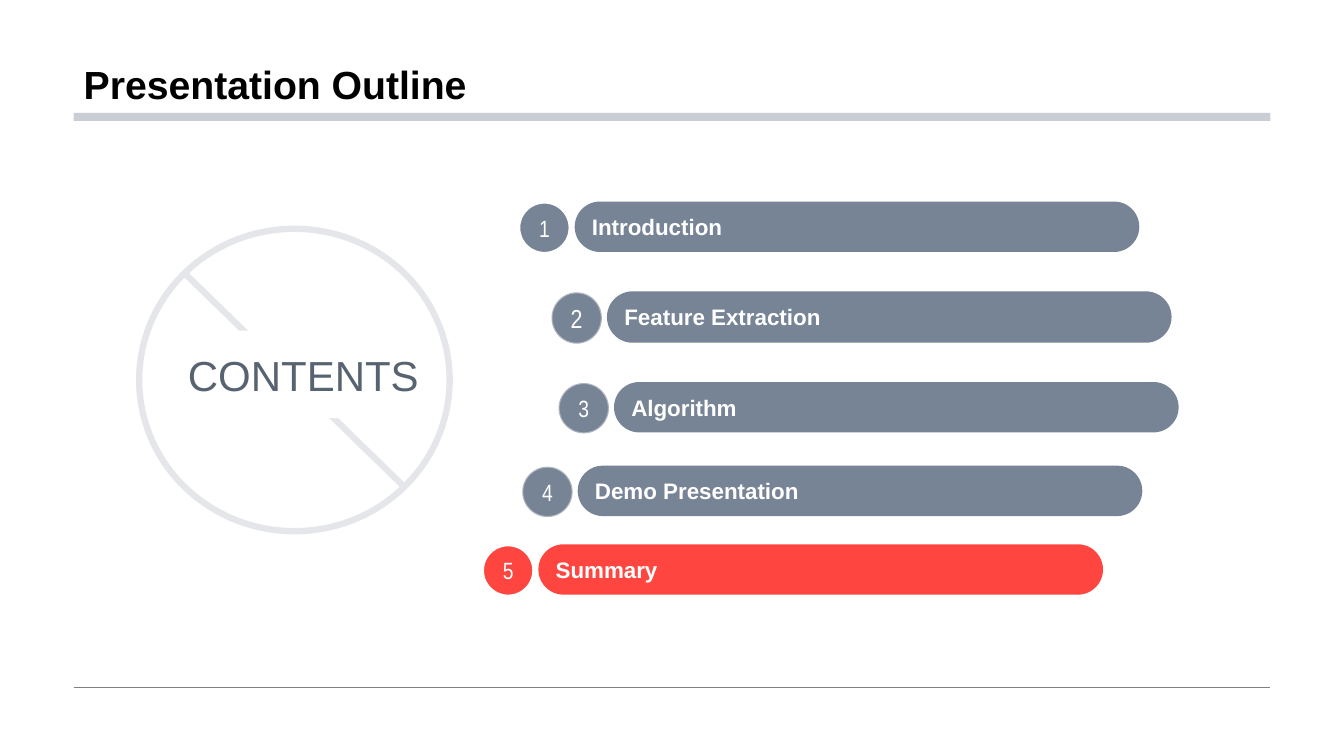
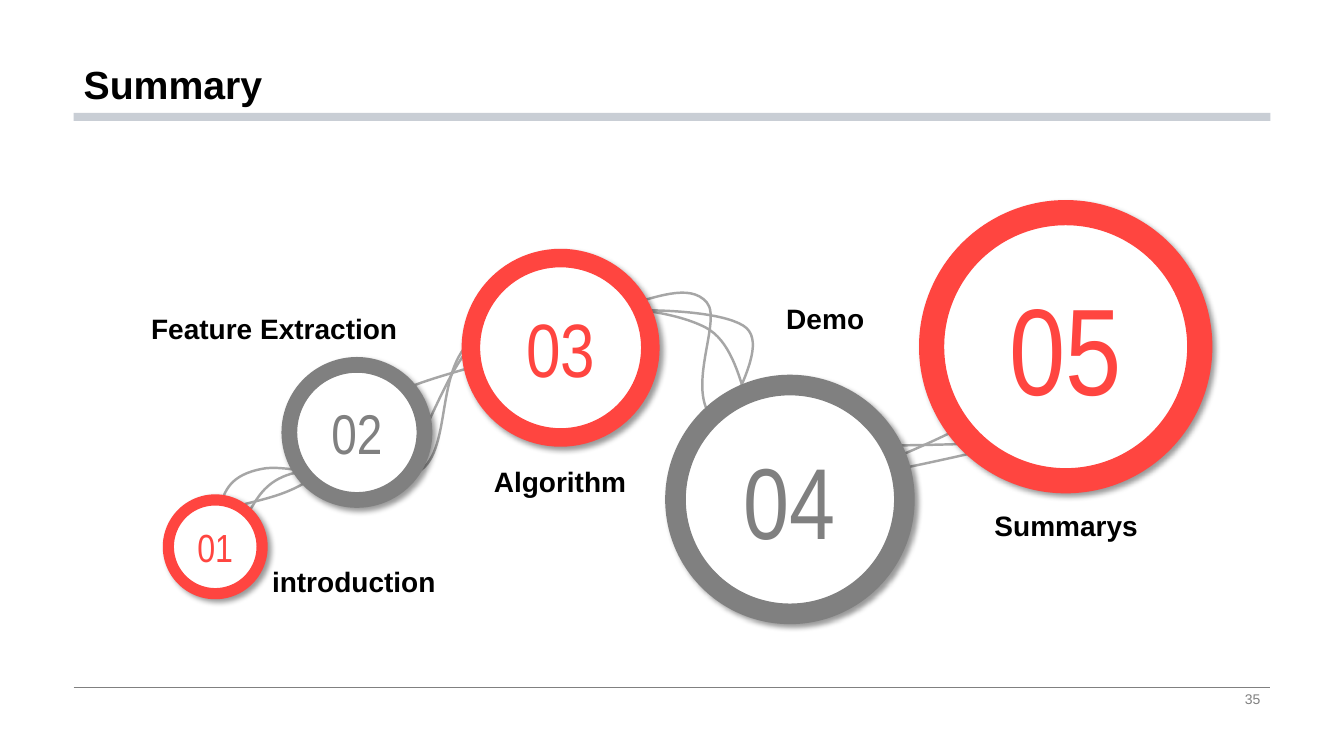
from dataclasses import dataclass

from lxml.etree import SubElement
from pptx import Presentation
from pptx.dml.color import RGBColor
from pptx.enum.shapes import MSO_CONNECTOR, MSO_SHAPE
from pptx.enum.text import MSO_ANCHOR, MSO_AUTO_SIZE, PP_ALIGN
from pptx.oxml.ns import qn
from pptx.util import Inches, Pt


@dataclass(frozen=True)
class Theme:
    black: str = "000000"
    white: str = "FFFFFF"
    red: str = "FF4540"
    slate: str = "778495"
    dark_slate: str = "586371"
    pale: str = "E4E6EA"
    band: str = "C9CED5"
    grey: str = "808080"
    strand: str = "A6A6A6"
    font: str = "Arial"
    narrow: str = "Arial Narrow"
    title: float = 28
    contents: float = 30
    label: float = 20
    bar: float = 16
    marker: float = 16.8
    large_marker: float = 18.6
    page_number: float = 10


THEME = Theme()


@dataclass(frozen=True)
class Box:
    left: float
    top: float
    width: float
    height: float

    def inner(self, left, top, width, height):
        return Box(self.left + left, self.top + top, width, height)

    def point(self, x, y):
        return Inches(self.left + x), Inches(self.top + y)

    def lengths(self):
        return [Inches(value) for value in (self.left, self.top, self.width, self.height)]


TITLE_BOX = Box(0.73, 0, 11.87, 1.12)
BAND_BOX = Box(0.73, 1.12, 11.87, 0.08)
FOOTER_BOX = Box(0.73, 6.82, 11.87, 0.23)
EMBLEM_BOX = Box(1.38, 2.27, 3.08, 3)
OUTLINE_BOX = Box(4.79, 2, 6.9, 3.91)
STEPS_BOX = Box(1.4, 2.1, 10.5, 4)

# label, bar left, bar top, height, colour, marker outline opacity, marker size
OUTLINE = [
    ("Introduction", 0.91, 0, 0.5, THEME.slate, 100, THEME.marker),
    ("Feature Extraction", 1.23, 0.89, 0.51, THEME.slate, 40, THEME.large_marker),
    ("Algorithm", 1.3, 1.79, 0.5, THEME.slate, 40, THEME.marker),
    ("Demo Presentation", 0.94, 2.62, 0.5, THEME.slate, 40, THEME.marker),
    ("Summary", 0.55, 3.4, 0.5, THEME.red, 100, THEME.marker),
]

# ring left, top, diameter, outline width, number size
RINGS = [
    (0.27, 2.86, 0.93, 8, 28),
    (1.47, 1.52, 1.34, 11.25, 40),
    (3.27, 0.46, 1.78, 13.25, 54),
    (5.3, 1.72, 2.27, 14.75, 72),
    (7.84, 0.01, 2.66, 18, 88),
]

# label, left, top, width, alignment, line spacing
STEP_LABELS = [
    ("Feature Extraction", 0, 0.95, 2.81, PP_ALIGN.LEFT, 1.0),
    ("Algorithm", 3.09, 2.47, 2.13, PP_ALIGN.CENTER, 0.9),
    ("Summarys", 8.11, 2.91, 2.13, PP_ALIGN.CENTER, 0.9),
    ("Demo", 5.72, 0.86, 2.13, PP_ALIGN.CENTER, 0.9),
    ("introduction", 1.2, 3.47, 2.13, PP_ALIGN.LEFT, 0.9),
]

# start point, then two control points and an end point for each curve
STRANDS = [
    [(0.78, 2.93), (0.83, 2.77), (0.88, 2.61), (1.21, 2.55),
     (1.54, 2.49), (2.39, 2.81), (2.75, 2.58), (3.12, 2.36), (2.87, 1.44), (3.4, 1.2),
     (3.94, 0.95), (5.58, 0.89), (5.97, 1.13), (6.37, 1.37), (5.38, 2.44), (5.78, 2.65),
     (6.19, 2.85), (7.3, 2.61), (8.4, 2.36)],
    [(1.03, 2.9), (1.27, 2.84), (1.5, 2.79), (1.73, 2.62),
     (1.96, 2.44), (2.1, 2.06), (2.42, 1.86), (2.74, 1.66), (3.27, 1.57), (3.65, 1.42),
     (4.04, 1.26), (4.43, 1.03), (4.76, 0.94), (5.09, 0.86), (5.44, 0.7), (5.61, 0.9),
     (5.78, 1.09), (5.32, 1.89), (5.77, 2.13), (6.22, 2.36), (7.27, 2.33), (8.33, 2.3)],
    [(1.07, 2.98), (1.16, 2.82), (1.25, 2.67), (1.49, 2.6),
     (1.73, 2.53), (2.18, 2.83), (2.52, 2.58), (2.86, 2.34), (3.02, 1.36), (3.53, 1.12),
     (4.04, 0.88), (5.12, 0.9), (5.6, 1.15), (6.07, 1.4), (5.97, 2.44), (6.4, 2.6),
     (6.83, 2.76), (7.52, 2.44), (8.2, 2.11)],
]


def write_text(shape, text, *, size, color, font=THEME.font, bold=False, align=PP_ALIGN.LEFT,
               anchor=MSO_ANCHOR.MIDDLE, wrap=True, spacing=1.0):
    frame = shape.text_frame
    frame.auto_size = MSO_AUTO_SIZE.NONE
    frame.word_wrap = wrap
    frame.vertical_anchor = anchor
    para = frame.paragraphs[0]
    para.alignment = align
    para.line_spacing = spacing
    span = para.add_run()
    span.text = text
    span.font.name = font
    span.font.size = Pt(size)
    span.font.bold = bold
    span.font.color.rgb = RGBColor.from_string(color)


def style_line(shape, color, width, opacity=100):
    shape.line.color.rgb = RGBColor.from_string(color)
    shape.line.width = Pt(width)
    if opacity < 100:
        paint = shape._element.spPr.find(qn("a:ln")).find(".//" + qn("a:srgbClr"))
        SubElement(paint, qn("a:alpha"), val=str(opacity * 1000))


def style_shape(shape, fill=None, line=None, width=1.0, opacity=100):
    shape.shadow.inherit = False
    if fill:
        shape.fill.solid()
        shape.fill.fore_color.rgb = RGBColor.from_string(fill)
    else:
        shape.fill.background()
    if line:
        style_line(shape, line, width, opacity)
    else:
        shape.line.fill.background()


def add_shape(page, kind, box, **style):
    shape = page.shapes.add_shape(kind, *box.lengths())
    style_shape(shape, **style)
    return shape


def add_label(page, box, text, **style):
    write_text(page.shapes.add_textbox(*box.lengths()), text, **style)


def add_line(page, start, end, color, width):
    line = page.shapes.add_connector(MSO_CONNECTOR.STRAIGHT, *start, *end)
    style_line(line, color, width)
    SubElement(line._element.spPr, qn("a:effectLst"))
    return line


def add_soft_shadow(shape):
    effects = shape._element.spPr.find(qn("a:effectLst"))
    shadow = SubElement(effects, qn("a:outerShdw"), blurRad=str(Pt(4)), dist=str(Pt(3)),
                        dir=str(45 * 60000), algn="tl", rotWithShape="0")
    paint = SubElement(shadow, qn("a:srgbClr"), val=THEME.black)
    SubElement(paint, qn("a:alpha"), val="40000")


def curve_points(points, steps=16):
    """Yield points along joined cubic curves, from which their extent is found."""
    for first in range(0, len(points) - 1, 3):
        knots = points[first:first + 4]
        for step in range(1, steps + 1):
            t = step / steps
            weights = ((1 - t) ** 3, 3 * t * (1 - t) ** 2, 3 * t * t * (1 - t), t ** 3)
            yield tuple(sum(w * knot[axis] for w, knot in zip(weights, knots)) for axis in (0, 1))


def add_strand(page, box, points):
    """Size a freeform to the curve's extent, then give it true cubic segments."""
    builder = page.shapes.build_freeform(*box.point(*points[0]), scale=1.0)
    builder.add_line_segments([box.point(*spot) for spot in curve_points(points)], close=False)
    strand = builder.convert_to_shape()
    outline = strand._element.spPr.find(".//" + qn("a:path"))
    for segment in outline.findall(qn("a:lnTo")):
        outline.remove(segment)
    for first in range(1, len(points), 3):
        curve = SubElement(outline, qn("a:cubicBezTo"))
        for spot in points[first:first + 3]:
            x, y = box.point(*spot)
            SubElement(curve, qn("a:pt"), x=str(x - strand.left), y=str(y - strand.top))
    style_shape(strand, line=THEME.strand, width=1.75)


def prepare_layout(layout, page):
    """Place the title, and move the band and footer line from the page to its layout."""
    for holder in list(layout.placeholders):
        if holder.placeholder_format.idx == 0:
            holder.left, holder.top, holder.width, holder.height = TITLE_BOX.lengths()
        else:
            holder.element.getparent().remove(holder.element)
    rule = add_line(page, FOOTER_BOX.point(0, 0), FOOTER_BOX.point(FOOTER_BOX.width, 0),
                    THEME.grey, 0.5)
    band = add_shape(page, MSO_SHAPE.RECTANGLE, BAND_BOX, fill=THEME.band)
    for part in (rule, band):
        layout.shapes.element.append(part._element)


def write_title(page, text):
    write_text(page.shapes.title, text, size=THEME.title, color=THEME.black, bold=True,
               anchor=MSO_ANCHOR.BOTTOM, spacing=0.9)


def add_page_number(page, box, number):
    add_label(page, box.inner(box.width - 3.18, 0, 3.18, box.height), number,
              size=THEME.page_number, color=THEME.grey, align=PP_ALIGN.RIGHT)


def add_emblem(page, box):
    add_line(page, box.point(0.45, 0.44), box.point(2.63, 2.56), THEME.pale, 4.5)
    add_shape(page, MSO_SHAPE.OVAL, box, line=THEME.pale, width=4.5)
    plate = add_shape(page, MSO_SHAPE.RECTANGLE, box.inner(0.3, 1.01, 2.66, 0.87),
                      fill=THEME.white)
    write_text(plate, "CONTENTS", size=THEME.contents, color=THEME.dark_slate,
               align=PP_ALIGN.CENTER)


def add_outline(page, box):
    for number, (label, left, top, height, color, opacity, size) in enumerate(OUTLINE, 1):
        marker = add_shape(page, MSO_SHAPE.OVAL, box.inner(left - 0.55, top + 0.01, 0.5, height),
                           fill=color, line=THEME.white, width=1.5, opacity=opacity)
        write_text(marker, str(number), size=size, color=THEME.white, font=THEME.narrow,
                   align=PP_ALIGN.CENTER, wrap=False)
        bar = add_shape(page, MSO_SHAPE.ROUNDED_RECTANGLE, box.inner(left, top, 5.6, height),
                        fill=color)
        bar.adjustments[0] = 0.5
        write_text(bar, label, size=THEME.bar, color=THEME.white, bold=True)


def add_steps(page, box):
    for points in STRANDS:
        add_strand(page, box, points)
    for number, (left, top, diameter, width, size) in enumerate(RINGS, 1):
        color = THEME.red if number % 2 else THEME.grey
        ring = add_shape(page, MSO_SHAPE.OVAL, box.inner(left, top, diameter, diameter),
                         fill=THEME.white, line=color, width=width)
        add_soft_shadow(ring)
        write_text(ring, f"{number:02}", size=size, color=color, font=THEME.narrow,
                   align=PP_ALIGN.CENTER, wrap=False)
    for label, left, top, width, align, spacing in STEP_LABELS:
        add_label(page, box.inner(left, top, width, 0.42), label, size=THEME.label,
                  color=THEME.black, bold=True, align=align, anchor=MSO_ANCHOR.BOTTOM,
                  spacing=spacing)


def main():
    deck = Presentation()
    deck.slide_width, deck.slide_height = Inches(13.33), Inches(7.5)
    layout = deck.slide_layouts[5]

    outline_page = deck.slides.add_slide(layout)
    prepare_layout(layout, outline_page)
    write_title(outline_page, "Presentation Outline")
    add_emblem(outline_page, EMBLEM_BOX)
    add_outline(outline_page, OUTLINE_BOX)

    summary_page = deck.slides.add_slide(layout)
    write_title(summary_page, "Summary")
    add_page_number(summary_page, FOOTER_BOX, "35")
    add_steps(summary_page, STEPS_BOX)

    deck.save("out.pptx")


if __name__ == "__main__":
    main()
